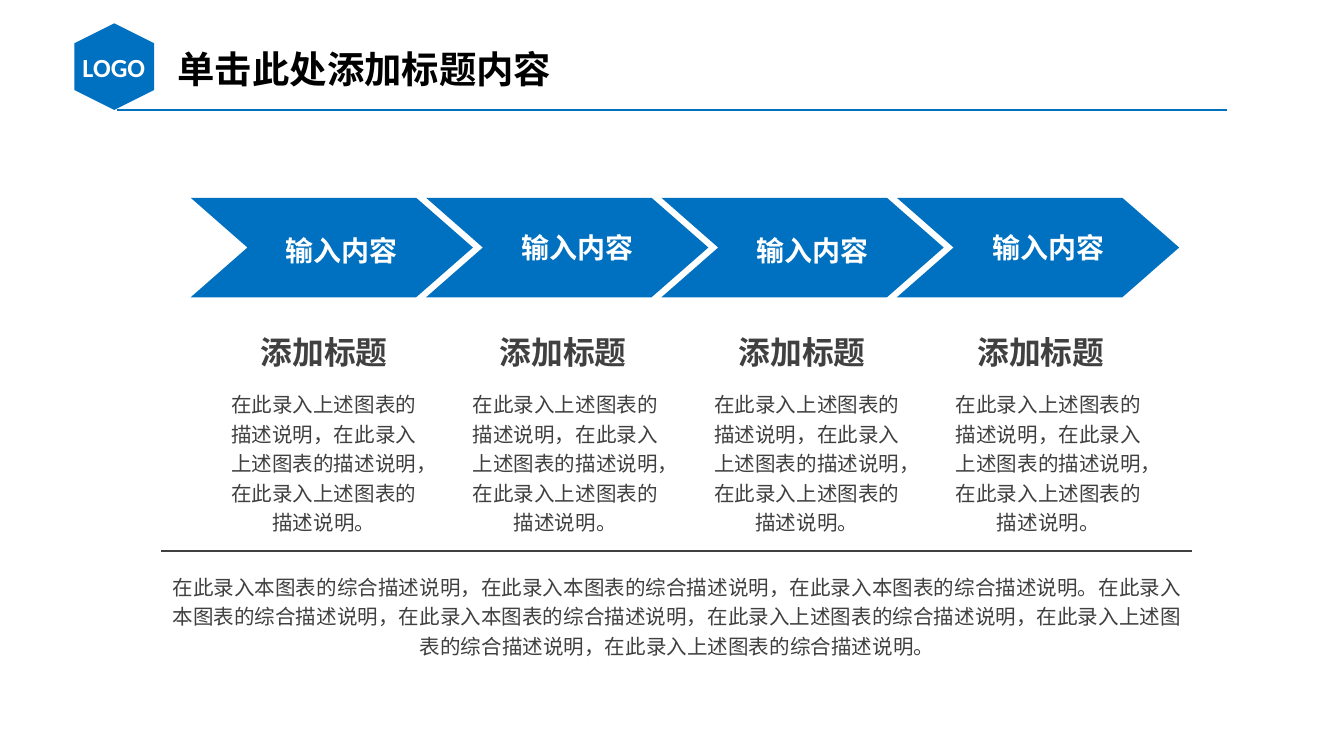
from dataclasses import dataclass

from lxml import etree
from pptx import Presentation
from pptx import util as u
from pptx.dml.color import RGBColor
from pptx.enum import shapes, text
from pptx.oxml import ns


@dataclass(frozen=True)
class Theme:
    blue: str = "0070C0"
    grey: str = "404040"
    white: str = "FFFFFF"
    black: str = "000000"
    cjk: str = "Noto Sans CJK SC"
    arial: str = "Arial"
    logo_font: str = "Calibri"
    title: int = 20
    heading: int = 17
    label: int = 15
    logo: int = 14
    body: int = 11
    line: float = 0.75


THEME = Theme()
TIGHT = (5, 2.9)
NORMAL = (7.2, 3.6)


def write_text(shape, content, *, size, color, font=THEME.cjk, bold=False,
               align=text.PP_ALIGN.CENTER, anchor=text.MSO_ANCHOR.TOP,
               spacing=None, wrap=True, insets=NORMAL):
    frame = shape.text_frame
    frame.word_wrap = wrap
    frame.auto_size = text.MSO_AUTO_SIZE.SHAPE_TO_FIT_TEXT
    frame.vertical_anchor = anchor
    frame.margin_left = frame.margin_right = u.Pt(insets[0])
    frame.margin_top = frame.margin_bottom = u.Pt(insets[1])
    paragraph = frame.paragraphs[0]
    paragraph.alignment = align
    if spacing:
        paragraph.line_spacing = spacing
    run = paragraph.add_run()
    run.text = content
    run.font.name = font
    run.font.size = u.Pt(size)
    run.font.bold = bold
    run.font.color.rgb = RGBColor.from_string(color)
    # Chinese glyphs take the East Asian typeface
    east_asian = etree.SubElement(run.font._element, ns.qn("a:ea"))
    east_asian.set("typeface", THEME.cjk)


class SlideBuilder:
    def __init__(self, slide, theme):
        self.slide = slide
        self.theme = theme

    def fill(self, shape):
        shape.shadow.inherit = False
        shape.fill.solid()
        shape.fill.fore_color.rgb = RGBColor.from_string(self.theme.blue)
        shape.line.fill.background()

    def textbox(self, left, top, width, height, content, **style):
        shape = self.slide.shapes.add_textbox(
            u.Pt(left), u.Pt(top), u.Pt(width), u.Pt(height))
        write_text(shape, content, **style)

    def rule(self, left, right, y, color):
        connector = self.slide.shapes.add_connector(
            shapes.MSO_CONNECTOR.STRAIGHT,
            u.Pt(left), u.Pt(y), u.Pt(right), u.Pt(y))
        connector.line.color.rgb = RGBColor.from_string(color)
        connector.line.width = u.Pt(self.theme.line)
        etree.SubElement(connector._element.spPr, ns.qn("a:effectLst"))

    def hexagon(self, left, top, width, height):
        shape = self.slide.shapes.add_shape(
            shapes.MSO_SHAPE.HEXAGON,
            u.Pt(left), u.Pt(top), u.Pt(width), u.Pt(height))
        shape.rotation = 90
        self.fill(shape)

    def chevron(self, left, top, width, height, notch):
        right, middle, bottom = left + width, top + height / 2, top + height
        points = [(right - notch, top), (right, middle),
                  (right - notch, bottom), (left, bottom),
                  (left + notch, middle)]
        builder = self.slide.shapes.build_freeform(u.Pt(left), u.Pt(top))
        builder.add_line_segments(
            [(u.Pt(x), u.Pt(y)) for x, y in points], close=True)
        self.fill(builder.convert_to_shape())


def main():
    presentation = Presentation()
    presentation.slide_width = u.Pt(720)
    presentation.slide_height = u.Pt(405)
    slide = presentation.slides.add_slide(presentation.slide_layouts[6])
    page = SlideBuilder(slide, THEME)

    # Header
    page.rule(62.6, 657.4, 59, THEME.blue)
    page.hexagon(38, 14.3, 46.4, 42.8)
    page.textbox(35.5, 23.8, 51, 24.5, "LOGO", size=THEME.logo,
                 color=THEME.white, font=THEME.logo_font, bold=True)
    page.textbox(88, 21, 284, 31.7, "单击此处添加标题内容", size=THEME.title,
                 color=THEME.black, bold=True, align=text.PP_ALIGN.LEFT)

    # Four steps: arrow, label, heading and description
    description = "在此录入上述图表的描述说明，" * 2 + "在此录入上述图表的描述说明。"
    for step in range(4):
        left = 102.2 + 126.1 * step
        page.chevron(left, 106, 151.2, 53.3, 30.4)
        loose = step % 2 == 0
        height = 27.4 if loose else 25.2
        page.textbox(left + 17.3, 132.5 - height / 2, 127.4, height,
                     "输入内容", size=THEME.label, color=THEME.white,
                     font=THEME.arial, bold=True,
                     anchor=text.MSO_ANCHOR.MIDDLE,
                     spacing=1.2 if loose else None)
        page.textbox(133.7 + 128 * step, 175.6, 80, 26, "添加标题",
                     size=THEME.heading, color=THEME.grey, bold=True,
                     wrap=False, insets=TIGHT)
        page.textbox(117.7 + 129.4 * step, 204.5, 111.6, 85.7, description,
                     size=THEME.body, color=THEME.grey, spacing=1.2,
                     insets=TIGHT)

    # Summary
    page.rule(86.4, 638.8, 295.2, THEME.grey)
    own = "在此录入本图表的综合描述说明"
    above = "在此录入上述图表的综合描述说明"
    summary = (f"{own}，{own}，{own}。{own}，{own}，"
               f"{above}，{above}，{above}。")
    page.textbox(85.7, 302.4, 554.4, 53.3, summary, size=THEME.body,
                 color=THEME.grey, spacing=1.2, insets=TIGHT)

    presentation.save("out.pptx")


if __name__ == "__main__":
    main()
